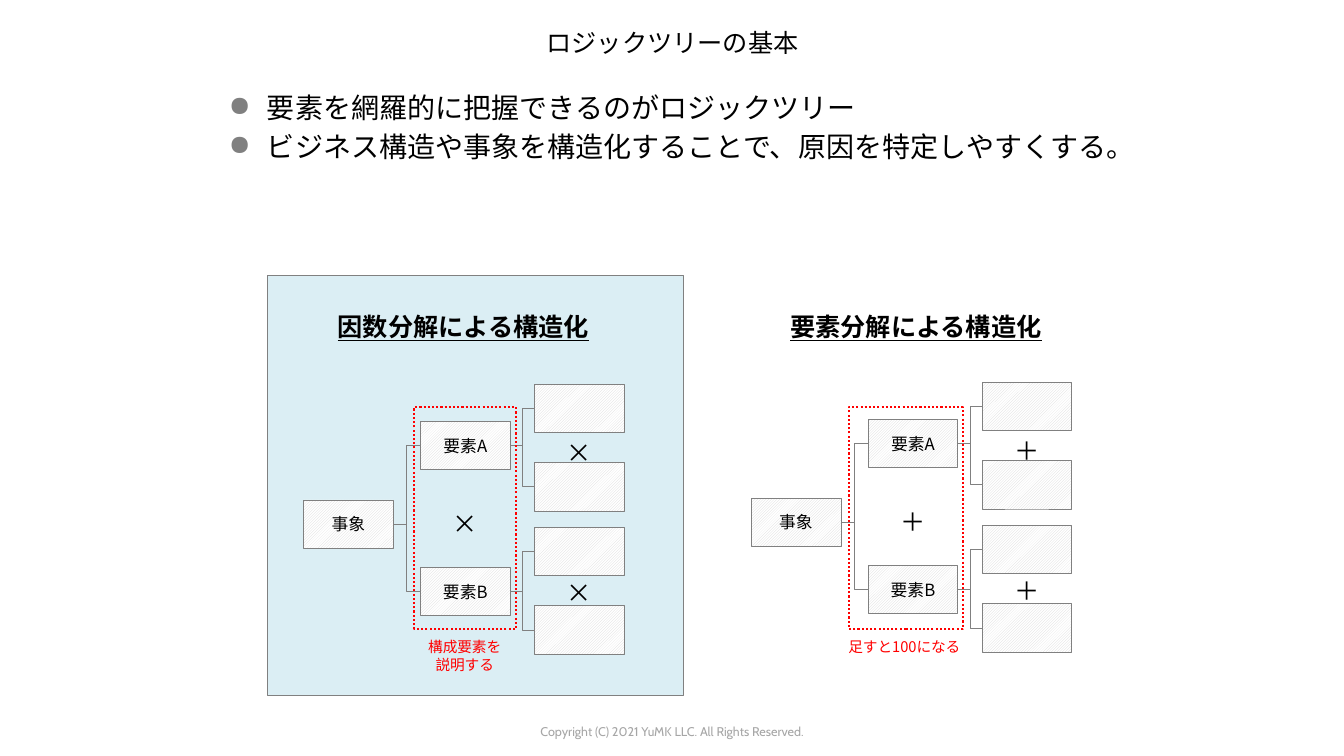
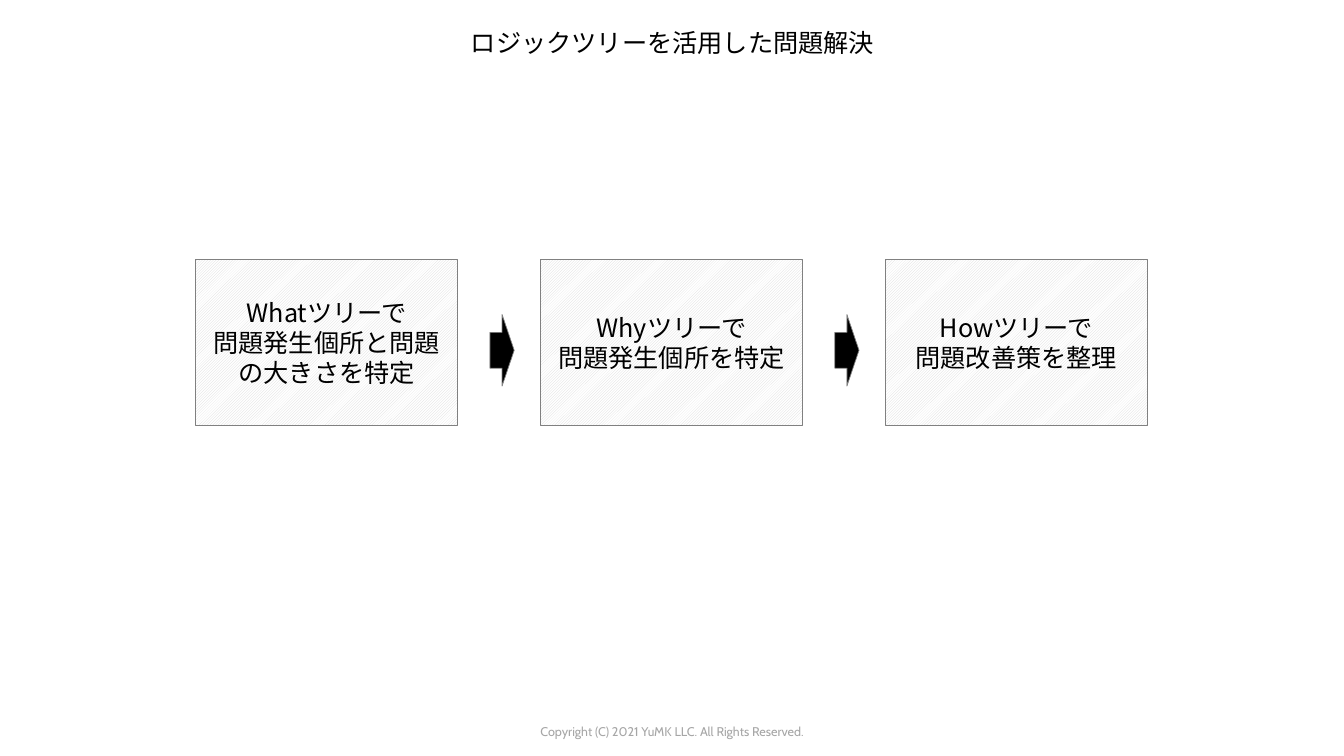
from dataclasses import dataclass

from lxml.etree import SubElement
from pptx import Presentation
from pptx.dml.color import RGBColor
from pptx.enum.dml import MSO_LINE as Dash, MSO_PATTERN as Pattern
from pptx.enum.shapes import MSO_CONNECTOR as Link, MSO_SHAPE as Kind
from pptx.enum.text import MSO_ANCHOR as Anchor, MSO_AUTO_SIZE as Fit, PP_ALIGN as Align
from pptx.oxml.ns import qn
from pptx.shapes.autoshape import Shape
from pptx.slide import Slide
from pptx.text.text import TextFrame
from pptx.util import Inches, Pt

SANS, LATIN = "Noto Sans CJK JP", "Cabin"
BLACK, GREY, PALE, RED = "000000", "808080", "A6A6A6", "FF0000"
HATCH, WHITE, BLUE = "D9D9D9", "FFFFFF", "DBEEF4"
NODE_W, NODE_H = 0.89, 0.48
SIGN_W, SIGN_H = 0.45, 0.4
MID_X, LEAF_X = 1.16, 2.29
BRANCHES = (("要素A", -0.78, (-1.15, -0.37)), ("要素B", 0.67, (0.27, 1.05)))
SIGNS = ((1.38, 0.03), (2.51, -0.67), (2.51, 0.72))
LEFT, RIGHT = 1, 3


@dataclass(frozen=True)
class Box:
    """A place on the slide, in inches."""

    x: float
    y: float
    w: float
    h: float

    def spans(self) -> tuple[int, int, int, int]:
        """Return the four lengths for a new shape."""
        return Inches(self.x), Inches(self.y), Inches(self.w), Inches(self.h)


@dataclass(frozen=True)
class Tree:
    """One logic tree with its heading, sign and red frame."""

    head: str
    head_x: float
    x: float
    y: float
    sign: str
    frame: Box
    note: str
    note_at: Box


TREES = (
    Tree("要素分解による構造化", 7.72, 7.45, 4.94, "＋",
         Box(8.42, 4.04, 1.13, 2.2), "足すと100になる", Box(8.29, 6.28, 1.36, 0.45)),
    Tree("因数分解による構造化", 3.23, 3.01, 4.96, "×",
         Box(4.11, 4.04, 1.01, 2.2), "構成要素を\n説明する", Box(4.14, 6.28, 0.94, 0.45)),
)
STEPS = ("Whatツリーで\n問題発生個所と問題の大きさを特定",
         "Whyツリーで\n問題発生個所を特定",
         "Howツリーで\n問題改善策を整理")


def rgb(code: str) -> RGBColor:
    """Turn a hex string into a colour."""
    return RGBColor.from_string(code)


def write(frame: TextFrame, text: str, *, size: float = 18, color: str = BLACK,
          face: str = SANS, align: Align = Align.CENTER, anchor: Anchor = Anchor.TOP,
          strong: bool = False, bullet: str = "", gap: float = 0) -> None:
    """Fill a frame with one paragraph per line of text."""
    frame.word_wrap = True
    frame.auto_size = Fit.NONE
    frame.vertical_anchor = anchor
    for i, line in enumerate(text.split("\n")):
        para = frame.add_paragraph() if i else frame.paragraphs[0]
        para.alignment = align
        if i and gap:
            para.space_before = Pt(gap)
        if bullet:
            props = para._p.get_or_add_pPr()
            props.set("marL", str(Inches(0.38)))
            props.set("indent", str(-Inches(0.38)))
            tint = SubElement(props, qn("a:buClr"))
            SubElement(tint, qn("a:srgbClr")).set("val", GREY)
            SubElement(props, qn("a:buChar")).set("char", bullet)
        run = para.add_run()
        run.text = line
        font = run.font
        font.size, font.name = Pt(size), face
        font.color.rgb = rgb(color)
        if strong:
            font.bold = font.underline = True
        SubElement(run._r.get_or_add_rPr(), qn("a:ea")).set("typeface", face)


def label(slide: Slide, box: Box, text: str, **style) -> TextFrame:
    """Add a text box."""
    frame = slide.shapes.add_textbox(*box.spans()).text_frame
    write(frame, text, **style)
    return frame


def block(slide: Slide, box: Box, *, kind: Kind = Kind.RECTANGLE, fill: str = "",
          line: str = GREY, width: float = 0.5) -> Shape:
    """Add a preset shape with a plain fill or none."""
    shape = slide.shapes.add_shape(kind, *box.spans())
    shape.shadow.inherit = False
    if fill:
        shape.fill.solid()
        shape.fill.fore_color.rgb = rgb(fill)
    else:
        shape.fill.background()
    shape.line.color.rgb = rgb(line)
    shape.line.width = Pt(width)
    return shape


def node(slide: Slide, box: Box, text: str = "", size: float = 12) -> Shape:
    """Add a hatched box."""
    shape = block(slide, box)
    fill = shape.fill
    fill.patterned()
    fill.pattern = Pattern.LIGHT_UPWARD_DIAGONAL
    fill.fore_color.rgb = rgb(HATCH)
    fill.back_color.rgb = rgb(WHITE)
    if text:
        write(shape.text_frame, text, size=size, anchor=Anchor.MIDDLE)
    return shape


def join(slide: Slide, start: Shape, end: Shape) -> None:
    """Link the right of one box to the left of another."""
    line = slide.shapes.add_connector(Link.ELBOW, 0, 0, 0, 0)
    line.begin_connect(start, RIGHT)
    line.end_connect(end, LEFT)
    line.line.color.rgb = rgb(GREY)
    line.line.width = Pt(0.5)
    SubElement(line._element.spPr, qn("a:effectLst"))


def draw(slide: Slide, tree: Tree) -> None:
    """Draw a whole logic tree."""

    def place(dx: float, dy: float, text: str = "") -> Shape:
        """Add a node at an offset from the root."""
        return node(slide, Box(tree.x + dx, tree.y + dy, NODE_W, NODE_H), text)

    root = place(0, 0, "事象")
    for name, dy, leaves in BRANCHES:
        mid = place(MID_X, dy, name)
        join(slide, root, mid)
        for drop in leaves:
            join(slide, mid, place(LEAF_X, drop))
    for dx, dy in SIGNS:
        frame = label(slide, Box(tree.x + dx, tree.y + dy, SIGN_W, SIGN_H), tree.sign)
        frame.margin_left = frame.margin_right = 0
    label(slide, Box(tree.head_x, 3.04, 2.73, 0.4), tree.head, strong=True)
    edge = block(slide, tree.frame, line=RED, width=1.5)
    edge.line.dash_style = Dash.ROUND_DOT
    label(slide, tree.note_at, tree.note, size=10.5, color=RED)


def page(deck: Presentation, title: str, box: Box) -> Slide:
    """Add a slide with its title and footer."""
    slide = deck.slides.add_slide(deck.slide_layouts[5])
    head = slide.shapes.title
    head.left, head.top, head.width, head.height = box.spans()
    write(head.text_frame, title)
    label(slide, Box(4.2, 7.13, 4.93, 0.25),
          "Copyright (C) 2021 YuMK LLC. All Rights Reserved.",
          size=9, color=PALE, face=LATIN)
    return slide


def basics(deck: Presentation) -> None:
    """Build the slide on the two kinds of tree."""
    slide = page(deck, "ロジックツリーの基本", Box(2.17, 0.22, 9, 0.54))
    block(slide, Box(2.65, 2.73, 4.13, 4.17), fill=BLUE)
    label(slide, Box(2.17, 0.85, 9, 5.79),
          "要素を網羅的に把握できるのがロジックツリー\n"
          "ビジネス構造や事象を構造化することで、原因を特定しやすくする。",
          size=20, align=Align.LEFT, bullet="●", gap=4)
    for tree in TREES:
        draw(slide, tree)


def solving(deck: Presentation) -> None:
    """Build the slide on the three steps."""
    slide = page(deck, "ロジックツリーを活用した問題解決", Box(0.67, 0.22, 12, 0.54))
    pitch = 3.42
    for i, step in enumerate(STEPS):
        node(slide, Box(1.94 + i * pitch, 2.57, 2.6, 1.65), step, 18)
        if i:
            block(slide, Box(1.44 + i * pitch, 3.12, 0.24, 0.71),
                  kind=Kind.RIGHT_ARROW, fill=BLACK)


def main() -> None:
    """Build and save the deck."""
    deck = Presentation()
    deck.slide_width, deck.slide_height = Inches(13.33), Inches(7.5)
    basics(deck)
    solving(deck)
    deck.save("out.pptx")


if __name__ == "__main__":
    main()
